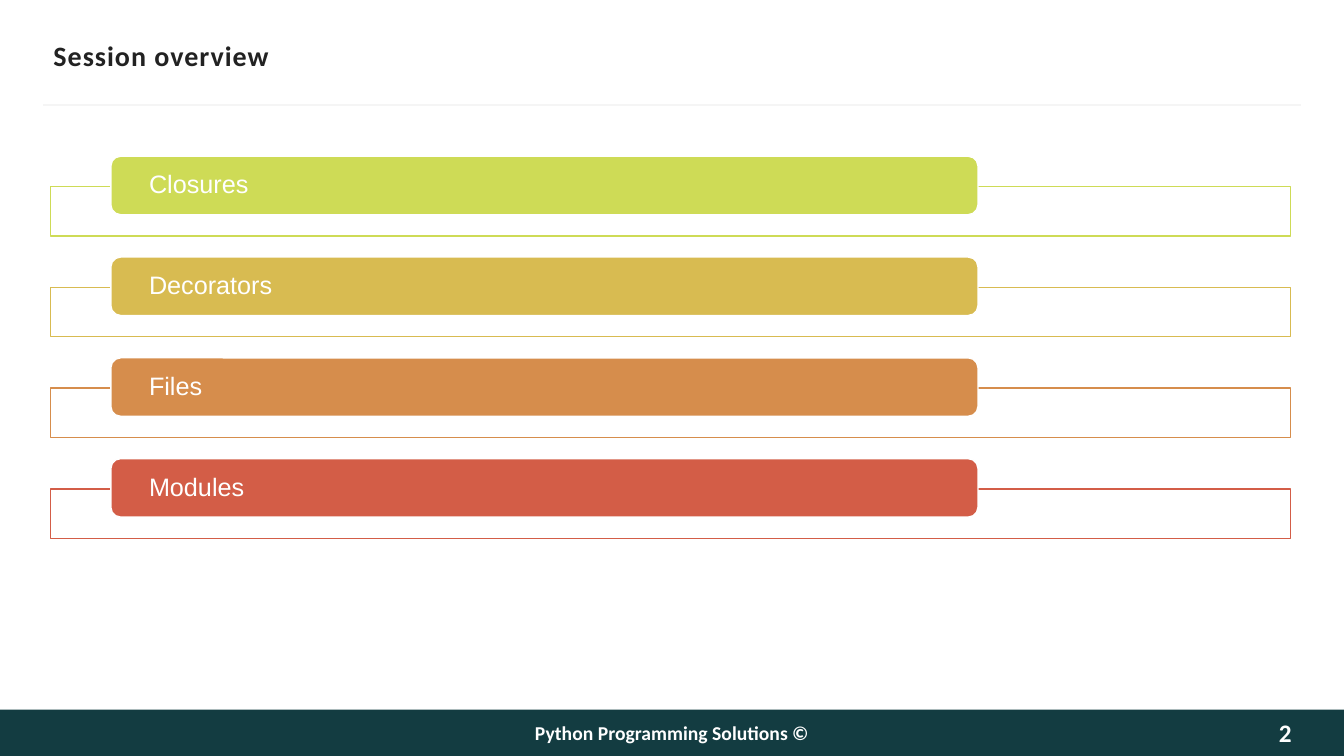
from lxml.etree import SubElement
from pptx import Presentation
from pptx.dml.color import RGBColor
from pptx.enum.shapes import MSO_CONNECTOR, MSO_SHAPE
from pptx.enum.text import MSO_ANCHOR, PP_ALIGN
from pptx.oxml.ns import qn
from pptx.util import Pt

PX = 9144  # EMU in one px, 100 px to the inch
SLIDE_W, SLIDE_H = 1333, 750

WHITE = RGBColor(0xFF, 0xFF, 0xFF)
PAGE_WHITE = RGBColor(0xFE, 0xFE, 0xFE)
INK = RGBColor(0x22, 0x22, 0x22)
RULE_GREY = RGBColor(0xF5, 0xF5, 0xF5)
FOOTER_TEAL = RGBColor(0x13, 0x3C, 0x41)
LIME = RGBColor(0xCE, 0xDB, 0x56)
GOLD = RGBColor(0xD8, 0xBB, 0x51)
ORANGE = RGBColor(0xD6, 0x8D, 0x4C)
RED = RGBColor(0xD3, 0x5D, 0x47)

TOPICS = [("Closures", LIME), ("Decorators", GOLD), ("Files", ORANGE), ("Modules", RED)]
TOPIC_PITCH = 100

TITLE_FONT = {"name": "Calibri", "size": Pt(20), "bold": True}
FOOTER_FONT = {"name": "Calibri", "size": Pt(14), "bold": True}
NUMBER_FONT = {"name": "Calibri", "size": Pt(18), "bold": True}
TOPIC_FONT = {"name": "Arial", "size": Pt(18), "bold": False}


def emu(*lengths):
    return [length * PX for length in lengths]


def write(shape, text, font, color, align=PP_ALIGN.LEFT, insets=(0, 5, 0, 5), wrap=True):
    frame = shape.text_frame
    frame.word_wrap = wrap
    frame.vertical_anchor = MSO_ANCHOR.MIDDLE
    sides = ("margin_left", "margin_top", "margin_right", "margin_bottom")
    for side, inset in zip(sides, emu(*insets)):
        setattr(frame, side, inset)
    paragraph = frame.paragraphs[0]
    paragraph.alignment = align
    run = paragraph.add_run()
    run.text = text
    for key, value in font.items():
        setattr(run.font, key, value)
    run.font.color.rgb = color
    return paragraph


def add_box(slide, box, fill, line=None, preset=MSO_SHAPE.RECTANGLE):
    shape = slide.shapes.add_shape(preset, *emu(*box))
    shape.shadow.inherit = False
    shape.fill.solid()
    shape.fill.fore_color.rgb = fill
    if line is None:
        shape.line.fill.background()
    else:
        shape.line.color.rgb = line
        shape.line.width = Pt(1)
    return shape


def add_header(slide, left, top, width, height):
    # Title
    title = slide.shapes.add_textbox(*emu(left + 10, top, width - 18, height))
    heading = write(title, "Session overview", TITLE_FONT, INK, wrap=False)
    heading.runs[0].font._element.set("spc", "70")
    # Rule under the title
    rule_y = top + height + 27
    rule = slide.shapes.add_connector(
        MSO_CONNECTOR.STRAIGHT, *emu(left, rule_y, left + width, rule_y))
    rule.line.color.rgb = RULE_GREY
    rule.line.width = Pt(1.5)
    SubElement(rule._element.spPr, qn("a:effectLst"))


def add_topic(slide, left, top, width, name, color):
    # Outlined frame behind the label
    frame = add_box(slide, (left, top + 30, width, 49), WHITE, color)
    tint = frame.fill._xPr.find(qn("a:solidFill"))[0]
    SubElement(tint, qn("a:alpha"), val="90000")
    # Coloured label
    label = add_box(slide, (left + 60, top, 860, 58), color, WHITE,
                    MSO_SHAPE.ROUNDED_RECTANGLE)
    label.adjustments[0] = 0.167
    paragraph = write(label, name, TOPIC_FONT, WHITE, insets=(35, 3, 33, 3))
    paragraph.line_spacing = 0.9
    paragraph.space_after = Pt(6.3)


def add_topics(slide, left, top, width):
    for row, (name, color) in enumerate(TOPICS):
        add_topic(slide, left, top + row * TOPIC_PITCH, width, name, color)


def add_footer(slide, left, top, width, height):
    add_box(slide, (left, top, width, height), FOOTER_TEAL)
    # Centred credit line
    credit = slide.shapes.add_textbox(*emu(left + 350, top, width - 700, height - 1))
    write(credit, "Python Programming Solutions ©", FOOTER_FONT, WHITE,
          PP_ALIGN.CENTER, (10, 5, 10, 5))
    # Page number
    number = slide.shapes.add_textbox(*emu(left + width - 118, top, 66, height))
    write(number, "2", NUMBER_FONT, PAGE_WHITE, PP_ALIGN.RIGHT, (0, 0, 0, 0))


def main():
    deck = Presentation()
    deck.slide_width, deck.slide_height = emu(SLIDE_W, SLIDE_H)
    slide = deck.slides.add_slide(deck.slide_layouts[6])
    add_footer(slide, 0, 704, SLIDE_W, 46)
    add_header(slide, 43, 33, 1247, 44)
    add_topics(slide, 50, 155, 1230)
    deck.save("out.pptx")


if __name__ == "__main__":
    main()
